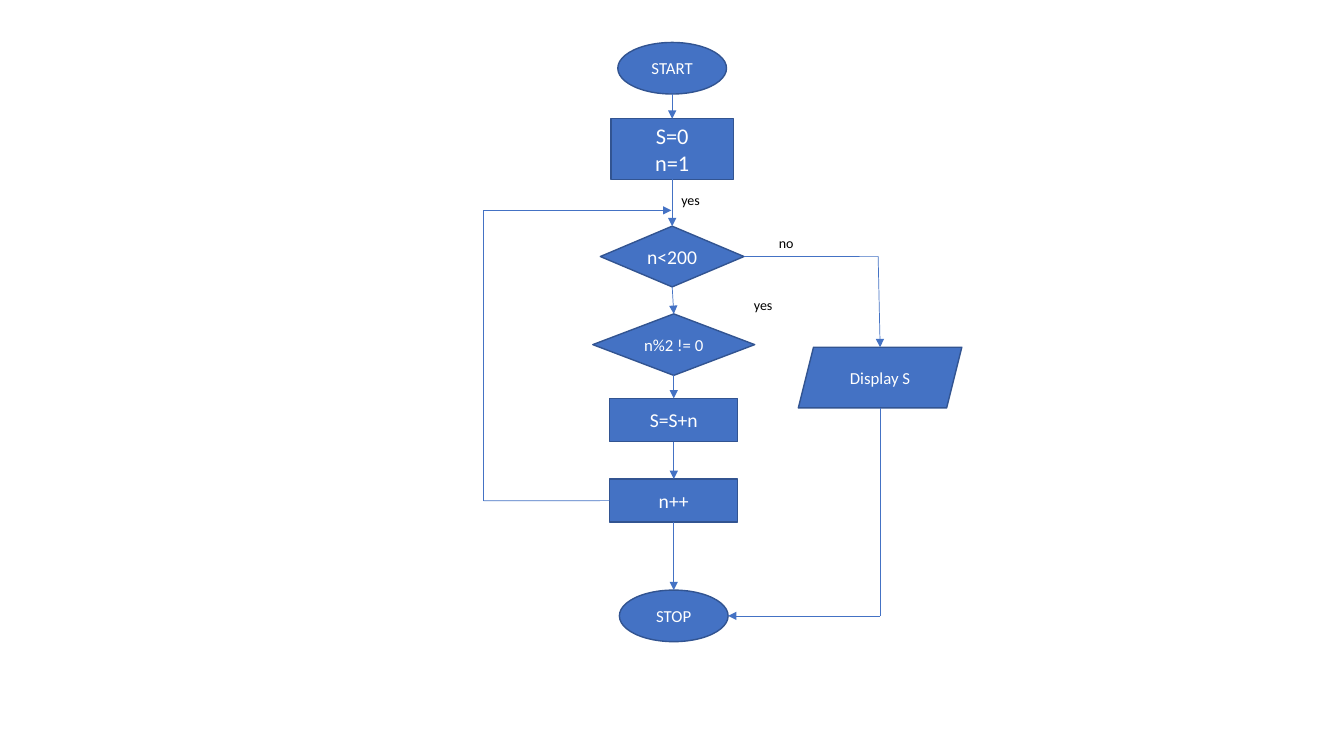
from lxml import etree
from pptx import Presentation
from pptx.dml.color import RGBColor
from pptx.enum.shapes import MSO_CONNECTOR, MSO_SHAPE
from pptx.enum.text import MSO_ANCHOR, MSO_AUTO_SIZE, PP_ALIGN
from pptx.oxml.ns import qn
from pptx.shapes.autoshape import Shape
from pptx.util import Cm, Pt

BLUE = RGBColor(0x44, 0x72, 0xC4)
DARK_BLUE = RGBColor(0x32, 0x54, 0x91)
WHITE = RGBColor(0xFF, 0xFF, 0xFF)
BLACK = RGBColor(0x00, 0x00, 0x00)

TOP, LEFT, BOTTOM, RIGHT = range(4)
FOUR_SIDED = (MSO_SHAPE.RECTANGLE, MSO_SHAPE.DIAMOND)


class Flowchart:
    font = "Calibri"

    def __init__(self, slide):
        self.shapes = slide.shapes

    def set_text(self, frame, text, size, color, align):
        frame.text = text
        for paragraph in frame.paragraphs:
            paragraph.alignment = align
            for run in paragraph.runs:
                run.font.name = self.font
                run.font.size = Pt(size)
                run.font.color.rgb = color

    def step(self, kind, text, center, top, width, height, size):
        """Add a filled flowchart step centred on a vertical axis."""
        step = self.shapes.add_shape(
            kind, Cm(center - width / 2), Cm(top), Cm(width), Cm(height))
        step.shadow.inherit = False
        step.fill.solid()
        step.fill.fore_color.rgb = BLUE
        step.line.color.rgb = DARK_BLUE
        step.line.width = Pt(1)
        step.text_frame.vertical_anchor = MSO_ANCHOR.MIDDLE
        self.set_text(step.text_frame, text, size, WHITE, PP_ALIGN.CENTER)
        return step

    def label(self, text, left, top, width):
        label = self.shapes.add_textbox(Cm(left), Cm(top), Cm(width), Cm(0.68))
        label.text_frame.word_wrap = False
        label.text_frame.auto_size = MSO_AUTO_SIZE.SHAPE_TO_FIT_TEXT
        self.set_text(label.text_frame, text, 10, BLACK, PP_ALIGN.LEFT)

    def link(self, start, end, arrow=True):
        """Draw a line between points, joining ends given as (step, side)."""
        points = [side_middle(*tip) if is_step(tip) else (Cm(tip[0]), Cm(tip[1]))
                  for tip in (start, end)]
        line = self.shapes.add_connector(
            MSO_CONNECTOR.STRAIGHT, *points[0], *points[1])
        for tip, connect in ((start, line.begin_connect), (end, line.end_connect)):
            if is_step(tip) and tip[0].auto_shape_type in FOUR_SIDED:
                connect(*tip)
        line.line.color.rgb = BLUE
        line.line.width = Pt(0.5)
        properties = line._element.spPr
        if arrow:
            etree.SubElement(properties.find(qn("a:ln")), qn("a:tailEnd"),
                             type="triangle")
        etree.SubElement(properties, qn("a:effectLst"))


def is_step(tip):
    return isinstance(tip[0], Shape)


def side_middle(step, side):
    x = step.left + step.width // 2
    y = step.top + step.height // 2
    return {TOP: (x, step.top), LEFT: (step.left, y),
            BOTTOM: (x, step.top + step.height),
            RIGHT: (step.left + step.width, y)}[side]


def main():
    deck = Presentation()
    deck.slide_width, deck.slide_height = Cm(33.87), Cm(19.05)
    chart = Flowchart(deck.slides.add_slide(deck.slide_layouts[6]))

    upper_axis, lower_axis, output_axis = 16.94, 16.98, 22.18
    start = chart.step(MSO_SHAPE.OVAL, "START", upper_axis, 1.07, 2.74, 1.3, 12)
    init = chart.step(MSO_SHAPE.RECTANGLE, "S=0\nn=1", upper_axis, 2.99, 3.08, 1.53, 16)
    limit = chart.step(MSO_SHAPE.DIAMOND, "n<200", upper_axis, 5.7, 3.62, 1.53, 14)
    odd = chart.step(MSO_SHAPE.DIAMOND, "n%2 != 0", lower_axis, 7.91, 4.08, 1.55, 12)
    add = chart.step(MSO_SHAPE.RECTANGLE, "S=S+n", lower_axis, 10.04, 3.23, 1.09, 14)
    increment = chart.step(MSO_SHAPE.RECTANGLE, "n++", lower_axis, 12.07, 3.23, 1.09, 14)
    stop = chart.step(MSO_SHAPE.OVAL, "STOP", lower_axis, 14.87, 2.74, 1.3, 12)
    display = chart.step(MSO_SHAPE.PARALLELOGRAM, "Display S", output_axis,
                         8.75, 4.12, 1.53, 12)

    flow = (start, init, limit, odd, add, increment, stop)
    for upper, lower in zip(flow, flow[1:]):
        chart.link((upper, BOTTOM), (lower, TOP))

    loop_bottom, loop_top = (12.19, 12.62), (12.19, 5.3)
    chart.link((increment, LEFT), loop_bottom, arrow=False)
    chart.link(loop_bottom, loop_top, arrow=False)
    chart.link(loop_top, (16.92, 5.3))

    no_corner, stop_corner = (22.13, 6.46), (output_axis, 15.52)
    chart.link((limit, RIGHT), no_corner, arrow=False)
    chart.link(no_corner, (display, TOP))
    chart.link((display, BOTTOM), stop_corner, arrow=False)
    chart.link(stop_corner, (stop, RIGHT))

    chart.label("yes", 16.92, 4.7, 1)
    chart.label("no", 19.38, 5.79, 0.9)
    chart.label("yes", 18.75, 7.35, 1)

    deck.save("out.pptx")


if __name__ == "__main__":
    main()
